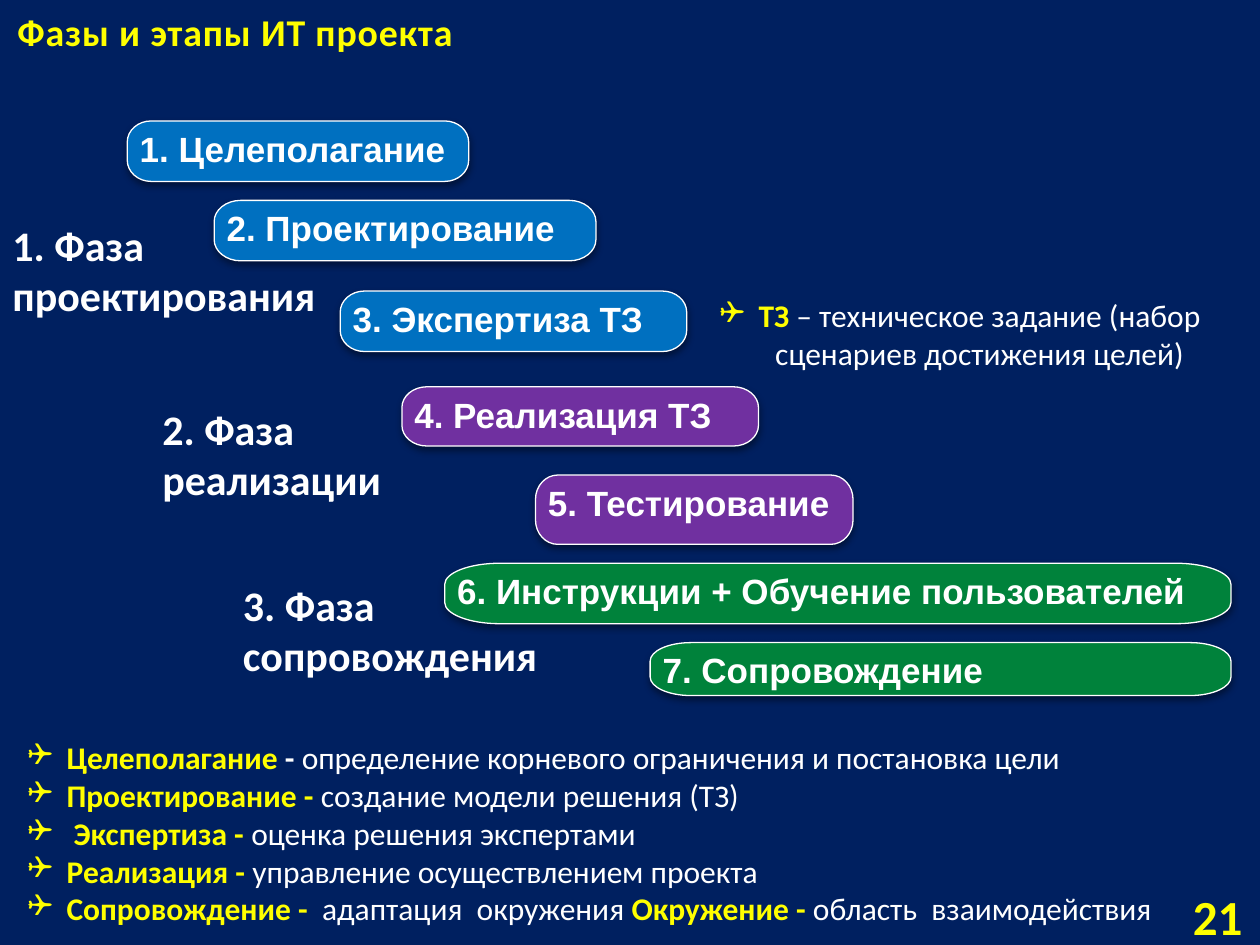
from dataclasses import dataclass

from lxml.etree import SubElement
from pptx import Presentation
from pptx.dml.color import RGBColor
from pptx.enum.shapes import MSO_SHAPE
from pptx.enum.text import MSO_ANCHOR, MSO_AUTO_SIZE, PP_ALIGN
from pptx.oxml.ns import qn
from pptx.shapes.autoshape import Shape
from pptx.slide import Slide
from pptx.text.text import TextFrame
from pptx.util import Emu, Pt

WHITE = RGBColor(0xFF, 0xFF, 0xFF)
YELLOW = RGBColor(0xFF, 0xFF, 0x00)
NAVY = RGBColor(0x00, 0x20, 0x60)
BLUE = RGBColor(0x00, 0x70, 0xC0)
PURPLE = RGBColor(0x70, 0x30, 0xA0)
GREEN = RGBColor(0x00, 0x82, 0x3B)

EMU_PER_PX = 9144  # 100 px to the inch
BULLET_INDENT = 31
CORNER_X, CORNER_Y = 0.07, 0.35  # corner radii as shares of width and height
CURVE = 0.55  # handle length of a quarter ellipse


@dataclass(frozen=True)
class Span:
    text: str
    color: RGBColor = WHITE
    bold: bool = True


@dataclass(frozen=True)
class Area:
    left: int
    top: int
    width: int
    height: int

    def emu(self) -> list[Emu]:
        return [px(v) for v in (self.left, self.top, self.width, self.height)]


@dataclass(frozen=True)
class Stage:
    text: str
    color: RGBColor
    area: Area


@dataclass(frozen=True)
class Phase:
    lines: list[str]
    area: Area


def px(value: float) -> Emu:
    return Emu(round(value * EMU_PER_PX))


def term(name: str, meaning: str) -> list[Span]:
    return [Span(name, YELLOW), Span(meaning, bold=False)]


STAGES = [
    Stage("2. Проектирование", BLUE, Area(170, 159, 303, 48)),
    Stage("3. Экспертиза ТЗ", BLUE, Area(270, 231, 275, 48)),
    Stage("4. Реализация ТЗ", PURPLE, Area(319, 307, 283, 47)),
    Stage("5. Тестирование", PURPLE, Area(425, 377, 252, 55)),
    Stage("1. Целеполагание", BLUE, Area(101, 96, 271, 48)),
    Stage("7. Сопровождение", GREEN, Area(516, 510, 461, 42)),
    Stage("6. Инструкции + Обучение пользователей", GREEN, Area(353, 447, 624, 48)),
]
PHASES = [
    Phase(["2. Фаза реализации"], Area(119, 315, 240, 91)),
    Phase(["3. Фаза сопровождения"], Area(183, 455, 287, 57)),
    Phase(["1. Фаза", "проектирования"], Area(0, 169, 295, 131)),
]
SPECIFICATION = [term("ТЗ", " – техническое задание (набор сценариев достижения целей)")]
GLOSSARY = [
    [Span("Целеполагание ", YELLOW), Span("- "),
     Span("определение корневого ограничения и постановка цели", bold=False)],
    term("Проектирование - ", "создание модели решения (ТЗ)"),
    term(" Экспертиза - ", "оценка решения экспертами"),
    term("Реализация - ", "управление осуществлением проекта"),
    term("Сопровождение -  ", "адаптация  окружения ")
    + term("Окружение - ", "область  взаимодействия"),
]


def write(frame: TextFrame, paragraphs: list[list[Span]], size: float,
          font: str = "Calibri", align: PP_ALIGN = PP_ALIGN.LEFT,
          bullet: str = "") -> None:
    frame.word_wrap = True
    for index, spans in enumerate(paragraphs):
        para = frame.add_paragraph() if index else frame.paragraphs[0]
        para.alignment = align
        if bullet:
            properties = para._p.get_or_add_pPr()
            properties.set("marL", str(px(BULLET_INDENT)))
            properties.set("indent", str(-px(BULLET_INDENT)))
            SubElement(properties, qn("a:buFont"), typeface="Wingdings", charset="2")
            SubElement(properties, qn("a:buChar"), char=bullet)
        for span in spans:
            run = para.add_run()
            run.text = span.text
            run.font.name = font
            run.font.size = Pt(size)
            run.font.bold = span.bold
            run.font.color.rgb = span.color


def add_text(page: Slide, area: Area, paragraphs: list[list[Span]], size: float,
             align: PP_ALIGN = PP_ALIGN.LEFT, bullet: str = "") -> TextFrame:
    frame = page.shapes.add_textbox(*area.emu()).text_frame
    write(frame, paragraphs, size, align=align, bullet=bullet)
    frame.auto_size = MSO_AUTO_SIZE.SHAPE_TO_FIT_TEXT
    return frame


def add_rounded_box(page: Slide, area: Area) -> Shape:
    """Draw an eight-point outline and bend its four corner lines into curves."""
    left, top, width, height = area.emu()
    right, bottom = left + width, top + height
    bend_x, bend_y = round(width * CORNER_X), round(height * CORNER_Y)
    builder = page.shapes.build_freeform(left + bend_x, bottom)
    builder.add_line_segments([
        (right - bend_x, bottom), (right, bottom - bend_y),
        (right, top + bend_y), (right - bend_x, top),
        (left + bend_x, top), (left, top + bend_y),
        (left, bottom - bend_y), (left + bend_x, bottom)], close=True)
    box = builder.convert_to_shape()

    lines = list(box._element.iter(qn("a:lnTo")))
    ends = [(int(line[0].get("x")), int(line[0].get("y"))) for line in lines]
    for index in range(1, len(ends), 2):
        start, end = ends[index - 1], ends[index]
        # The curve leaves a horizontal side at every other corner
        apex = (end[0], start[1]) if index % 4 == 1 else (start[0], end[1])
        handles = [tuple(round(p + (a - p) * CURVE) for p, a in zip(point, apex))
                   for point in (start, end)]
        lines[index].tag = qn("a:cubicBezTo")
        lines[index].clear()
        for x, y in [*handles, end]:
            SubElement(lines[index], qn("a:pt"), x=str(x), y=str(y))
    return box


def add_stage(page: Slide, stage: Stage) -> None:
    box = add_rounded_box(page, stage.area)
    box.fill.solid()
    box.fill.fore_color.rgb = stage.color
    box.line.color.rgb = WHITE
    box.line.width = Pt(0.75)
    # Soft shadow straight below
    box.shadow.inherit = False
    effects = box._element.spPr.find(qn("a:effectLst"))
    shadow = SubElement(effects, qn("a:outerShdw"), blurRad=str(Pt(4)),
                        dist=str(Pt(2)), dir="5400000", rotWithShape="0")
    tint = SubElement(shadow, qn("a:srgbClr"), val="000000")
    SubElement(tint, qn("a:alpha"), val="40000")
    box.text_frame.vertical_anchor = MSO_ANCHOR.TOP
    write(box.text_frame, [[Span(stage.text)]], 20, font="Arial")


def add_page_number(page: Slide, area: Area, number: str) -> None:
    box = page.shapes.add_shape(MSO_SHAPE.RECTANGLE, *area.emu())
    box.shadow.inherit = False
    box.fill.solid()
    box.fill.fore_color.rgb = NAVY
    box.line.fill.background()
    box.text_frame.vertical_anchor = MSO_ANCHOR.MIDDLE
    write(box.text_frame, [[Span(number, YELLOW)]], 28, align=PP_ALIGN.RIGHT)


def main() -> None:
    deck = Presentation()
    deck.slide_width, deck.slide_height = px(1000), px(750)
    page = deck.slides.add_slide(deck.slide_layouts[6])
    page.background.fill.solid()
    page.background.fill.fore_color.rgb = NAVY

    # Stages and the phases they belong to
    for stage in STAGES:
        add_stage(page, stage)
    for phase in PHASES:
        add_text(page, phase.area, [[Span(line)] for line in phase.lines], 24)

    # Title and page number
    title = add_text(page, Area(4, 0, 470, 48),
                     [[Span("Фазы и этапы ИТ проекта", YELLOW)]], 21.6)
    title.auto_size = MSO_AUTO_SIZE.NONE
    title.vertical_anchor = MSO_ANCHOR.BOTTOM
    title.paragraphs[0].runs[0].font._element.set("spc", "50")
    add_page_number(page, Area(894, 707, 102, 40), "21")

    # Explanations
    add_text(page, Area(547, 230, 430, 71), SPECIFICATION, 18,
             align=PP_ALIGN.CENTER, bullet="❑")
    add_text(page, Area(12, 581, 921, 162), GLOSSARY, 18, bullet="❑")
    deck.save("out.pptx")


if __name__ == "__main__":
    main()
